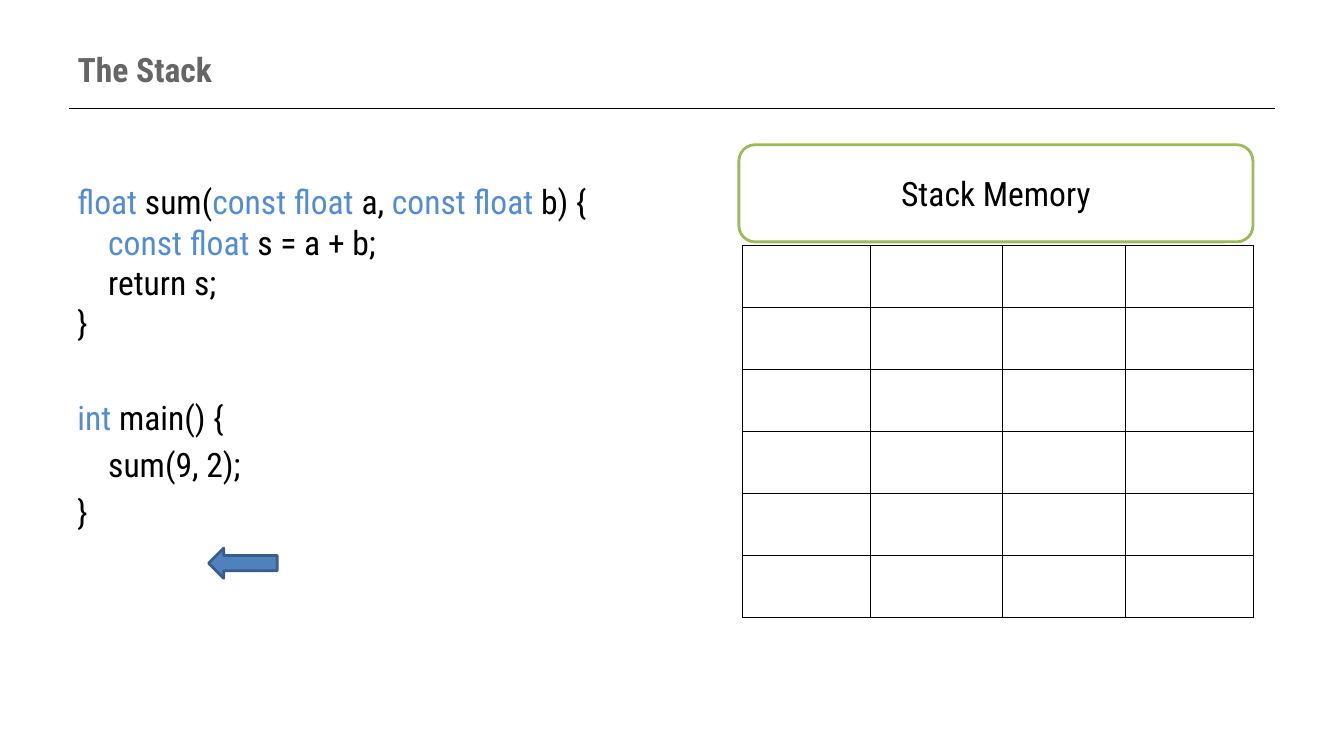
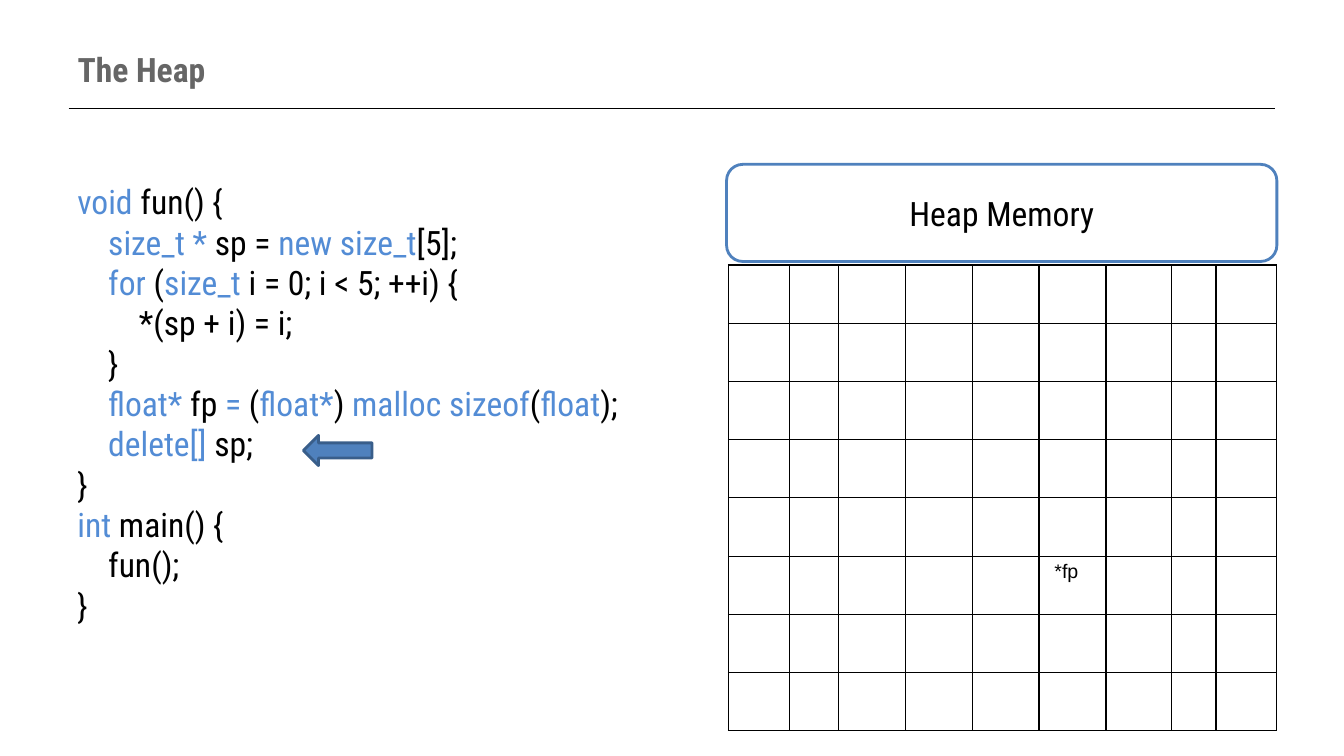
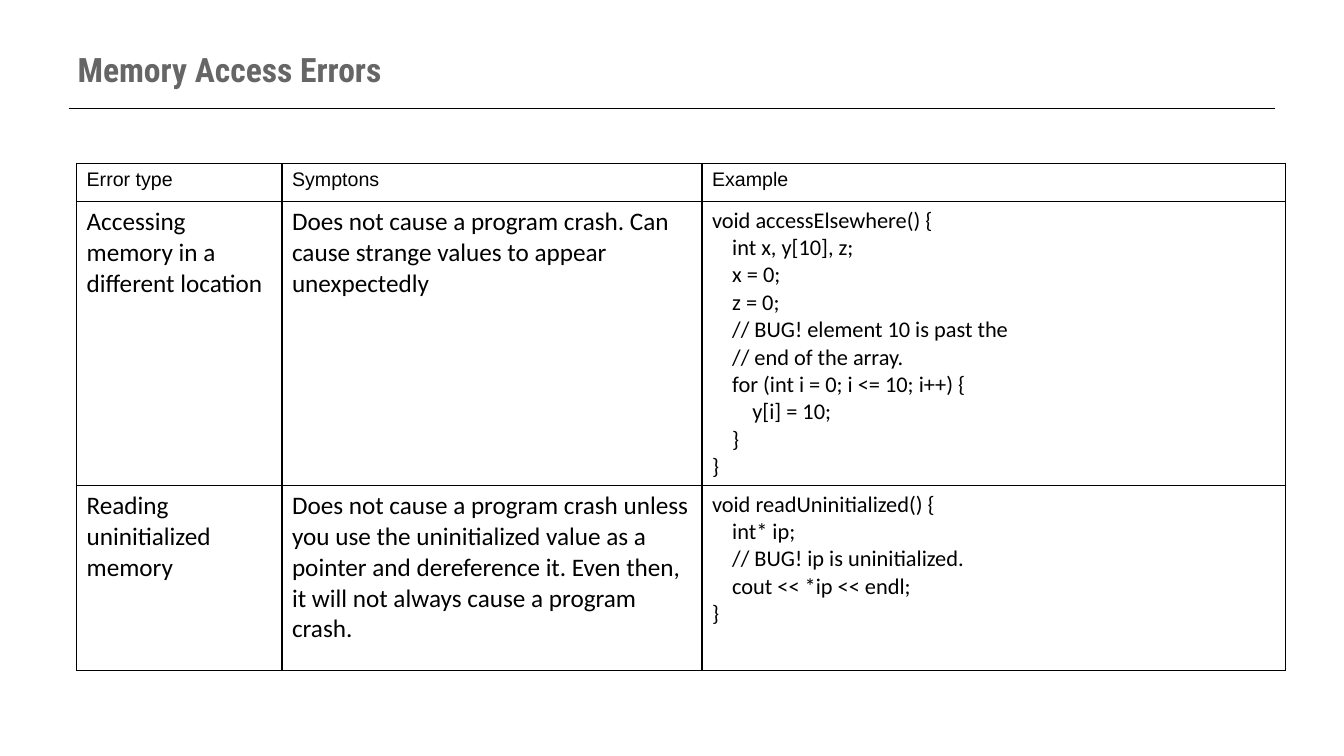
from dataclasses import dataclass

from lxml import etree
from pptx import Presentation
from pptx.dml.color import RGBColor
from pptx.enum.shapes import MSO_CONNECTOR, MSO_SHAPE
from pptx.enum.text import MSO_ANCHOR, MSO_AUTO_SIZE, PP_ALIGN
from pptx.oxml.ns import qn
from pptx.util import Pt

STRAIGHT = MSO_CONNECTOR.STRAIGHT
ROUND, ARROW = MSO_SHAPE.ROUNDED_RECTANGLE, MSO_SHAPE.LEFT_ARROW
MID, LEFT, CENTER = MSO_ANCHOR.MIDDLE, PP_ALIGN.LEFT, PP_ALIGN.CENTER
NO_FIT = MSO_AUTO_SIZE.NONE

BLACK = RGBColor(0x00, 0x00, 0x00)
WHITE = RGBColor(0xFF, 0xFF, 0xFF)
GRAY = RGBColor(0x66, 0x66, 0x66)
GREEN = RGBColor(0x9B, 0xBB, 0x59)
BLUE = RGBColor(0x4F, 0x81, 0xBD)
NAVY = RGBColor(0x39, 0x5E, 0x8A)
SKY = RGBColor(0x53, 0x8C, 0xD5)

TITLE = {"name": "Roboto Condensed", "size": Pt(24), "bold": True}
CODE = {"name": "Roboto Condensed", "size": Pt(24)}
HEAD = {"name": "Arial", "size": Pt(14)}
BODY = {"name": "Calibri", "size": Pt(18)}
SMALL = {"name": "Calibri", "size": Pt(16)}


@dataclass
class Box:
    x: float
    y: float
    w: float
    h: float

    def area(self) -> tuple:
        return Pt(self.x), Pt(self.y), Pt(self.w), Pt(self.h)


@dataclass
class Memory:
    """A slide with code at the left and a memory grid at the right."""
    title: str
    code: str
    width: float
    gaps: dict  # space before, by line number
    label: str
    edge: RGBColor
    frame: Box
    left: float
    top: float
    cols: list
    rows: list
    notes: dict  # cell text, by row and column
    arrow: Box


# In code, "|" switches between plain and keyword colour.
SUM = """|float |sum(|const float| a, |const float| b) {
    |const float| s = a + b;
    return s;
}
|int |main() {
    sum(9, 2);
}"""

FUN = """|void |fun() {
    |size_t * |sp = |new size_t|[5];
    |for| (|size_t| i = 0; i < 5; ++i) {
        *(sp + i) = i;
    }
|    float* |fp| = |(|float*|)| malloc sizeof|(|float|);
    |delete[] |sp;
}
|int |main() {
    fun();
}"""

SLIDES = [
    Memory("The Stack", SUM, 430, {4: 39, 5: 4.8, 6: 4.8},
           "Stack Memory", GREEN, Box(527.8, 103.4, 367.2, 69.4),
           530.4, 175.3, [91.4, 94.5, 87.8, 91.2], [44.3] * 6, {},
           Box(149, 391.5, 49, 21.6)),
    Memory("The Heap", FUN, 864, {},
           "Heap Memory", BLUE, Box(519, 117.4, 393.1, 69.4),
           520.4, 189.3,
           [43.6, 34.8, 48.2, 47.8, 47.4, 47.8, 46.8, 31.8, 43.4],
           [41.6] * 8, {(5, 5): "*fp"},
           Box(216.7, 311, 49, 21.6)),
]

ERRORS = [
    ["Error type", "Symptons", "Example"],
    ["Accessing memory in a different location",
     "Does not cause a program crash. Can cause strange values to appear "
     "unexpectedly",
     """void accessElsewhere() {
    int x, y[10], z;
    x = 0;
    z = 0;
    // BUG! element 10 is past the
    // end of the array.
    for (int i = 0; i <= 10; i++) {
        y[i] = 10;
    }
}"""],
    ["Reading uninitialized memory",
     "Does not cause a program crash unless you use the uninitialized value "
     "as a pointer and dereference it. Even then, it will not always cause a "
     "program crash.",
     """void readUninitialized() {
    int* ip;
    // BUG! ip is uninitialized.
    cout << *ip << endl;
}"""],
]


def style(font, form: dict, color: RGBColor = BLACK) -> None:
    for key, val in form.items():
        setattr(font, key, val)
    font.color.rgb = color


def write(frame, text: str, form: dict, gaps: dict, align=LEFT) -> None:
    """Write one paragraph a line, with keyword runs in colour."""
    for num, line in enumerate(text.split("\n")):
        para = frame.paragraphs[0] if num == 0 else frame.add_paragraph()
        para.alignment = align
        if num in gaps:
            para.space_before = Pt(gaps[num])
        for pos, part in enumerate(line.split("|")):
            if part:
                run = para.add_run()
                run.text = part
                style(run.font, form, SKY if pos % 2 else BLACK)


def start(deck, title: str):
    """Add a slide with the shared title and rule."""
    slide = deck.slides.add_slide(deck.slide_layouts[5])
    head = slide.shapes.title
    head.left, head.top, head.width, head.height = Box(48.2, 21.6, 864, 55.4).area()
    frame = head.text_frame
    frame.text = title
    frame.auto_size, frame.vertical_anchor = NO_FIT, MID
    para = frame.paragraphs[0]
    para.alignment = LEFT
    style(para.runs[0].font, TITLE, GRAY)

    rule = slide.shapes.add_connector(STRAIGHT, Pt(49), Pt(77.2), Pt(911), Pt(77.2))
    rule.line.color.rgb, rule.line.width = BLACK, Pt(0.75)
    etree.SubElement(rule._element.spPr, qn("a:effectLst"))
    return slide


def shape(slide, kind, box: Box, fill: RGBColor, edge: RGBColor):
    item = slide.shapes.add_shape(kind, *box.area())
    item.shadow.inherit = False
    item.fill.solid()
    item.fill.fore_color.rgb = fill
    item.line.color.rgb, item.line.width = edge, Pt(2)
    return item


def border(cell) -> None:
    props = cell._tc.get_or_add_tcPr()
    for side in ("lnL", "lnR", "lnT", "lnB"):
        line = etree.SubElement(props, qn(f"a:{side}"), w=str(Pt(1)))
        fill = etree.SubElement(line, qn("a:solidFill"))
        etree.SubElement(fill, qn("a:srgbClr"), val=str(BLACK))


def grid(slide, left: float, top: float, cols: list, rows: list):
    """Add a plain table with thin black borders."""
    box = Box(left, top, sum(cols), sum(rows))
    table = slide.shapes.add_table(len(rows), len(cols), *box.area()).table
    table.first_row = table.horz_banding = False
    for col, width in zip(table.columns, cols):
        col.width = Pt(width)
    for row, height in zip(table.rows, rows):
        row.height = Pt(height)
    for cell in table.iter_cells():
        border(cell)
        cell.fill.background()
    return table


def memory(deck, data: Memory) -> None:
    slide = start(deck, data.title)

    # Code
    code = slide.shapes.add_textbox(*Box(48.2, 126, data.width, 356.4).area())
    code.text_frame.word_wrap = True
    write(code.text_frame, data.code, CODE, data.gaps)

    # Memory grid and its label
    table = grid(slide, data.left, data.top, data.cols, data.rows)
    for (row, col), text in data.notes.items():
        cell = table.cell(row, col)
        cell.margin_left = Pt(11)
        write(cell.text_frame, text, HEAD, {})
    label = shape(slide, ROUND, data.frame, WHITE, data.edge)
    label.text_frame.vertical_anchor = MID
    write(label.text_frame, data.label, CODE, {}, CENTER)

    # Current line
    shape(slide, ARROW, data.arrow, BLUE, NAVY)


def errors(deck) -> None:
    slide = start(deck, "Memory Access Errors")
    table = grid(slide, 54.7, 116.8, [146.7, 300, 417], [27.4, 196.6, 131.8])
    for row, texts in enumerate(ERRORS):
        forms = (BODY, BODY, SMALL) if row else (HEAD,) * 3
        for col, (text, form) in enumerate(zip(texts, forms)):
            write(table.cell(row, col).text_frame, text, form, {})


def main() -> None:
    deck = Presentation()
    deck.slide_width, deck.slide_height = Pt(960), Pt(540)
    for data in SLIDES:
        memory(deck, data)
    errors(deck)
    deck.save("out.pptx")


if __name__ == "__main__":
    main()
